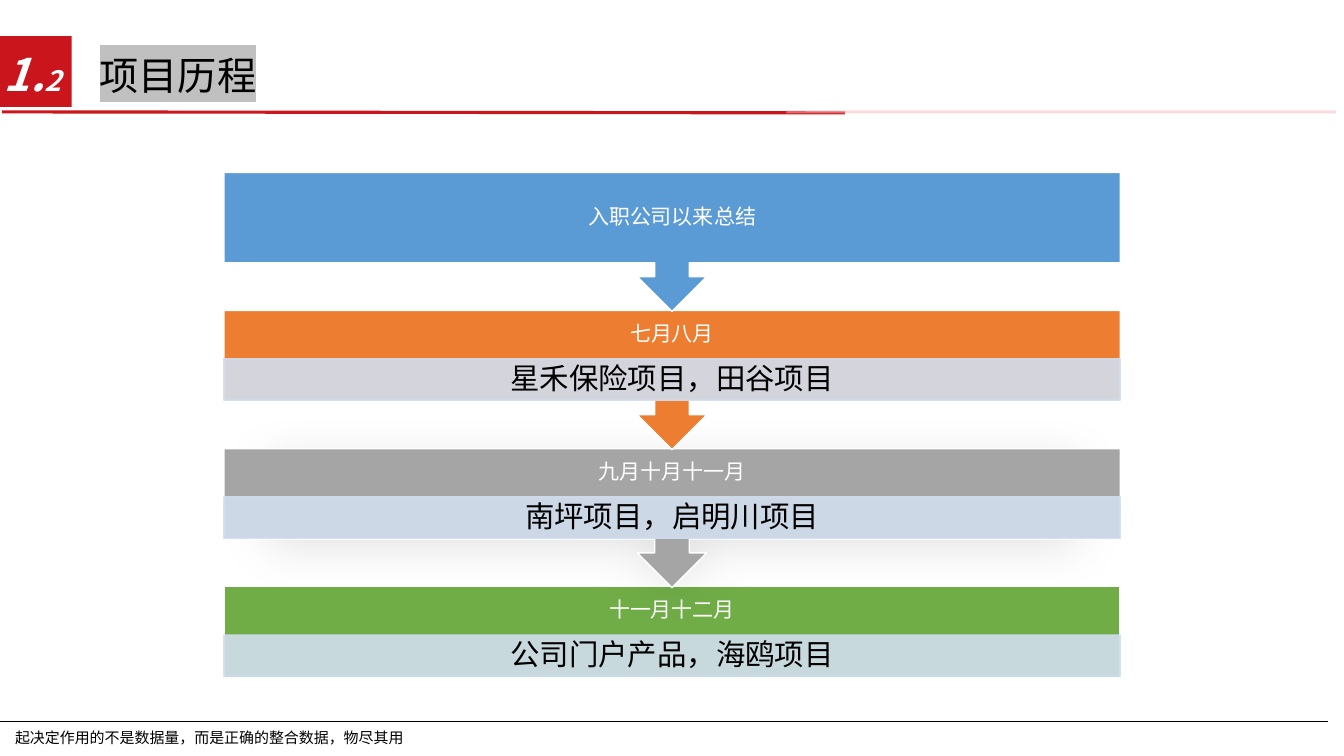
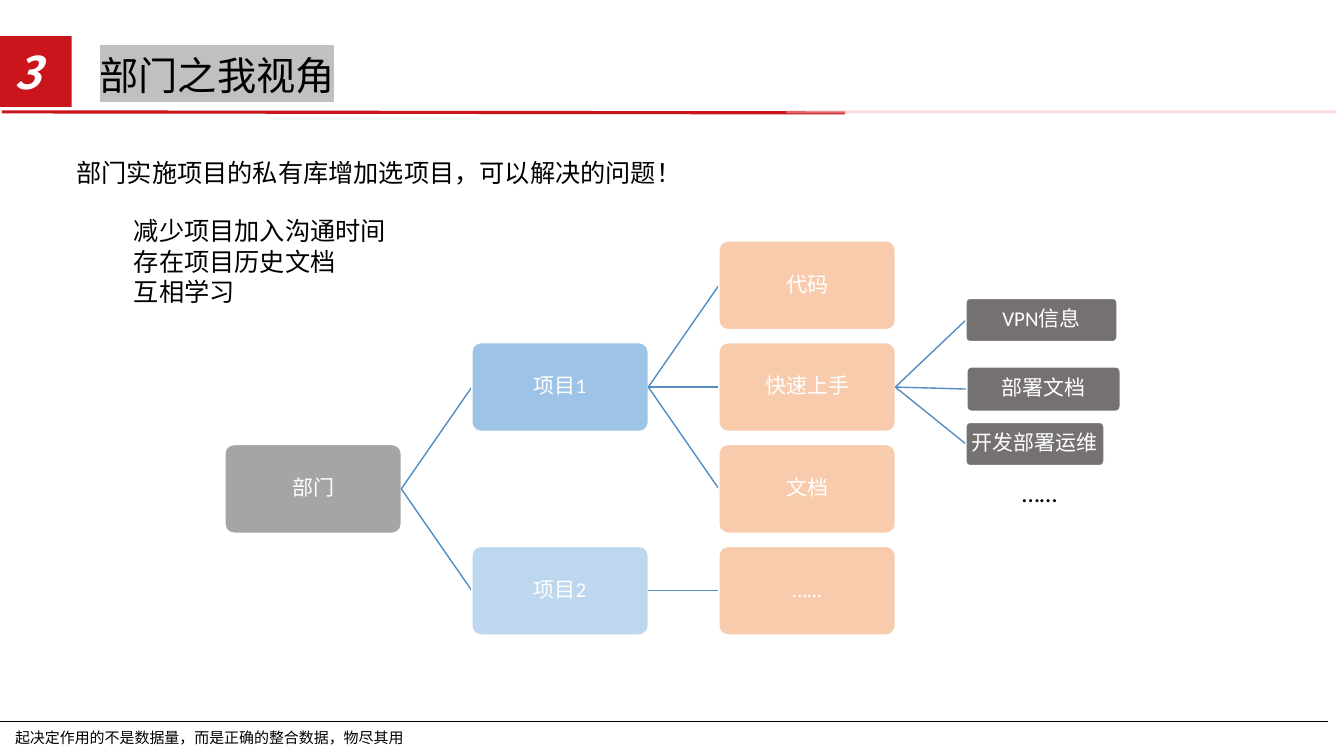
from lxml import etree
from pptx import Presentation
from pptx.dml.color import RGBColor
from pptx.enum.lang import MSO_LANGUAGE_ID
from pptx.enum.shapes import MSO_CONNECTOR, MSO_SHAPE
from pptx.enum.text import MSO_ANCHOR, PP_ALIGN
from pptx.oxml.ns import qn
from pptx.util import Inches, Pt

RED, PINK, BLACK, WHITE = "CA151D", "F8BABD", "000000", "FFFFFF"
DETAIL, HIGHLIGHT, EDGE = "D2DEEF", "C0C0C0", "538DC1"
GREY, PEACH, SLATE = "A5A5A5", "F8CBAD", "767171"
LATIN, CJK = "Calibri", "Noto Sans CJK SC"

FOOTER = "起决定作用的不是数据量，而是正确的整合数据，物尽其用"

HISTORY = {
    "title": "项目历程",
    "number": [("1.", 32), ("2", 20)],
    "number_box": (-0.06, 0.41, 1.11, 0.64),
}
STEPS = [  # heading, detail, colour
    ("入职公司以来总结", None, "5B9BD5"),
    ("七月八月", "星禾保险项目，田谷项目", "ED7D31"),
    ("九月十月十一月", "南坪项目，启明川项目", GREY),
    ("十一月十二月", "公司门户产品，海鸥项目", "70AD47"),
]
STEP_LEFT, STEP_TOP, STEP_WIDTH, STEP_PITCH = 2.22, 1.71, 8.89, 1.37
CALLOUT_HEIGHT, BODY_HEIGHT, HEADING_HEIGHT, DETAIL_HEIGHT = 1.38, 0.9, 0.48, 0.41

DEPARTMENT = {
    "title": "部门之我视角",
    "number": [("3", 32)],
    "number_box": (0.05, 0.39, 0.52, 0.64),
}
QUESTION = "部门实施项目的私有库增加选项目，可以解决的问题！"
BENEFITS = ["减少项目加入沟通时间", "存在项目历史文档", "互相学习"]
MORE = "……"

TREE_LEFT, TREE_TOP, COLUMN_PITCH, ROW_PITCH = 2.23, 2.39, 2.45, 1.01
NODE_WIDTH, NODE_HEIGHT = 1.75, 0.88


def cell(column, row):
    return (TREE_LEFT + column * COLUMN_PITCH, TREE_TOP + row * ROW_PITCH,
            NODE_WIDTH, NODE_HEIGHT)


NODES = [  # key, label, parent, box, colour
    ("root", "部门", None, cell(0, 2), GREY),
    ("first", "项目1", "root", cell(1, 1), "9DC3E6"),
    ("second", "项目2", "root", cell(1, 3), "BDD7EE"),
    ("code", "代码", "first", cell(2, 0), PEACH),
    ("start", "快速上手", "first", cell(2, 1), PEACH),
    ("documents", "文档", "first", cell(2, 2), PEACH),
    ("others", MORE, "second", cell(2, 3), PEACH),
    ("vpn", "VPN信息", "start", (9.58, 2.96, 1.5, 0.43), SLATE),
    ("deployment", "部署文档", "start", (9.59, 3.64, 1.52, 0.44), SLATE),
    ("operations", "开发部署运维", "start", (9.58, 4.19, 1.37, 0.43), SLATE),
]


def rgb(value):
    return RGBColor.from_string(value)


def set_opacity(fill, percent):
    colour = fill._xPr.find(qn("a:solidFill"))[0]
    etree.SubElement(colour, qn("a:alpha"), val=str(percent * 1000))


def write(frame, paragraphs, colour=BLACK, font=LATIN, highlight=None,
          align=PP_ALIGN.LEFT, spacing=None, **font_format):
    """Fill a text frame; each paragraph is a list of (text, size) runs."""
    for index, runs in enumerate(paragraphs):
        paragraph = frame.paragraphs[0] if index == 0 else frame.add_paragraph()
        paragraph.alignment = align
        if spacing:
            paragraph.line_spacing = spacing
        for text, size in runs:
            run = paragraph.add_run()
            run.text = text
            run.font.color.rgb = rgb(colour)
            values = {"size": Pt(size), "name": font,
                      "language_id": MSO_LANGUAGE_ID.SIMPLIFIED_CHINESE, **font_format}
            for name, value in values.items():
                setattr(run.font, name, value)
            properties = run.font._element
            etree.SubElement(properties, qn("a:ea"), typeface=CJK)
            if highlight:
                marker = etree.Element(qn("a:highlight"))
                etree.SubElement(marker, qn("a:srgbClr"), val=highlight)
                properties.find(qn("a:solidFill")).addnext(marker)


def set_margins(frame, left, top, right, bottom):
    margins = {"left": left, "top": top, "right": right, "bottom": bottom}
    for side, value in margins.items():
        setattr(frame, f"margin_{side}", Inches(value))


def add_text(slide, box, paragraphs, wrap=True, margins=(0.1, 0.05, 0.1, 0.05), **style):
    frame = slide.shapes.add_textbox(*map(Inches, box)).text_frame
    frame.word_wrap = wrap
    set_margins(frame, *margins)
    write(frame, paragraphs, **style)


def add_block(slide, kind, box, fill, line=None, opacity=None):
    block = slide.shapes.add_shape(kind, *map(Inches, box))
    block.shadow.inherit = False
    block.fill.solid()
    block.fill.fore_color.rgb = rgb(fill)
    if line:
        block.line.color.rgb = rgb(line)
        block.line.width = Pt(1)
    else:
        block.line.fill.background()
    if opacity:
        set_opacity(block.fill, opacity)
        set_opacity(block.line.fill, opacity)
    return block


def label(block, text, size, colour=WHITE, margins=(0.01, 0.01, 0.01, 0.01)):
    frame = block.text_frame
    frame.word_wrap = True
    frame.vertical_anchor = MSO_ANCHOR.MIDDLE
    set_margins(frame, *margins)
    write(frame, [[(text, size)]], colour, align=PP_ALIGN.CENTER, spacing=0.9)


def add_line(slide, start, end, colour, width, opacity=None):
    line = slide.shapes.add_connector(MSO_CONNECTOR.STRAIGHT, *map(Inches, start + end))
    line.line.color.rgb = rgb(colour)
    line.line.width = Pt(width)
    if opacity:
        set_opacity(line.line.fill, opacity)
    etree.SubElement(line._element.spPr, qn("a:effectLst"))


def add_soft_shadow(block):
    effects = block._element.spPr.find(qn("a:effectLst"))
    shadow = etree.SubElement(
        effects, qn("a:outerShdw"), blurRad=str(Pt(36)), dist=str(Pt(4)),
        dir="5400000", sx="90000", sy="90000", algn="ctr", rotWithShape="0")
    colour = etree.SubElement(shadow, qn("a:srgbClr"), val=BLACK)
    etree.SubElement(colour, qn("a:alpha"), val="13000")


def new_slide(deck, heading):
    """Add a slide with the shared header and footer."""
    slide = deck.slides.add_slide(deck.slide_layouts[6])
    add_block(slide, MSO_SHAPE.RECTANGLE, (0, 0.36, 0.71, 0.7), RED)
    add_line(slide, (0.02, 1.11), (8.38, 1.12), RED, 2.25)
    add_line(slide, (7.8, 1.11), (13.25, 1.11), PINK, 2.25, opacity=50)
    add_text(slide, (0.02, 7.16, 4.94, 0.31), [[(FOOTER, 10.7)]],
             margins=(0.13, 0.07, 0.13, 0.07), font=CJK)
    add_line(slide, (0, 7.16), (13.17, 7.16), BLACK, 0.5)
    add_text(slide, heading["number_box"], [heading["number"]],
             colour=WHITE, font=CJK, bold=True, italic=True)
    title = heading["title"]
    add_text(slide, (0.89, 0.46, 0.2 + 0.39 * len(title), 0.57), [[(title, 28)]],
             wrap=False, highlight=HIGHLIGHT)
    return slide


def build_history(deck):
    slide = new_slide(deck, HISTORY)
    last = len(STEPS) - 1
    # Drawn upwards, so that each arrow tip lies over the step below it.
    for index, (heading, detail, colour) in reversed(list(enumerate(STEPS))):
        top = STEP_TOP + index * STEP_PITCH
        is_last = index == last
        kind = MSO_SHAPE.RECTANGLE if is_last else MSO_SHAPE.DOWN_ARROW_CALLOUT
        height = BODY_HEIGHT if is_last else CALLOUT_HEIGHT
        step = add_block(slide, kind, (STEP_LEFT, top, STEP_WIDTH, height), colour, WHITE)
        if colour == GREY:
            add_soft_shadow(step)
        below_heading = BODY_HEIGHT - HEADING_HEIGHT if detail else 0
        label(step, heading, 15, margins=(0.12, 0, 0.12, below_heading))
        if detail:
            strip = add_block(slide, MSO_SHAPE.RECTANGLE,
                              (STEP_LEFT, top + HEADING_HEIGHT, STEP_WIDTH, DETAIL_HEIGHT),
                              DETAIL, DETAIL, opacity=90)
            label(strip, detail, 21, BLACK, margins=(0.16, 0.03, 0.16, 0.03))


def build_department(deck):
    slide = new_slide(deck, DEPARTMENT)
    boxes = {key: box for key, _, _, box, _ in NODES}
    for key, text, parent, box, colour in NODES:
        if parent:
            left, top, width, height = boxes[parent]
            add_line(slide, (left + width, top + height / 2),
                     (box[0], box[1] + box[3] / 2), EDGE, 1)
        node = add_block(slide, MSO_SHAPE.ROUNDED_RECTANGLE, box, colour, WHITE)
        node.adjustments[0] = 0.1
        label(node, text, 15)
    add_text(slide, (1.23, 2.09, 5.81, 1.01), [[(benefit, 18)] for benefit in BENEFITS])
    add_text(slide, (0.66, 1.51, 6.26, 0.4), [[(QUESTION, 18)]], wrap=False)
    add_text(slide, (10.04, 4.69, 0.56, 0.4), [[(MORE, 18)]], wrap=False)


def main():
    deck = Presentation()
    deck.slide_width, deck.slide_height = Inches(13.33), Inches(7.5)
    build_history(deck)
    build_department(deck)
    deck.save("out.pptx")


if __name__ == "__main__":
    main()
